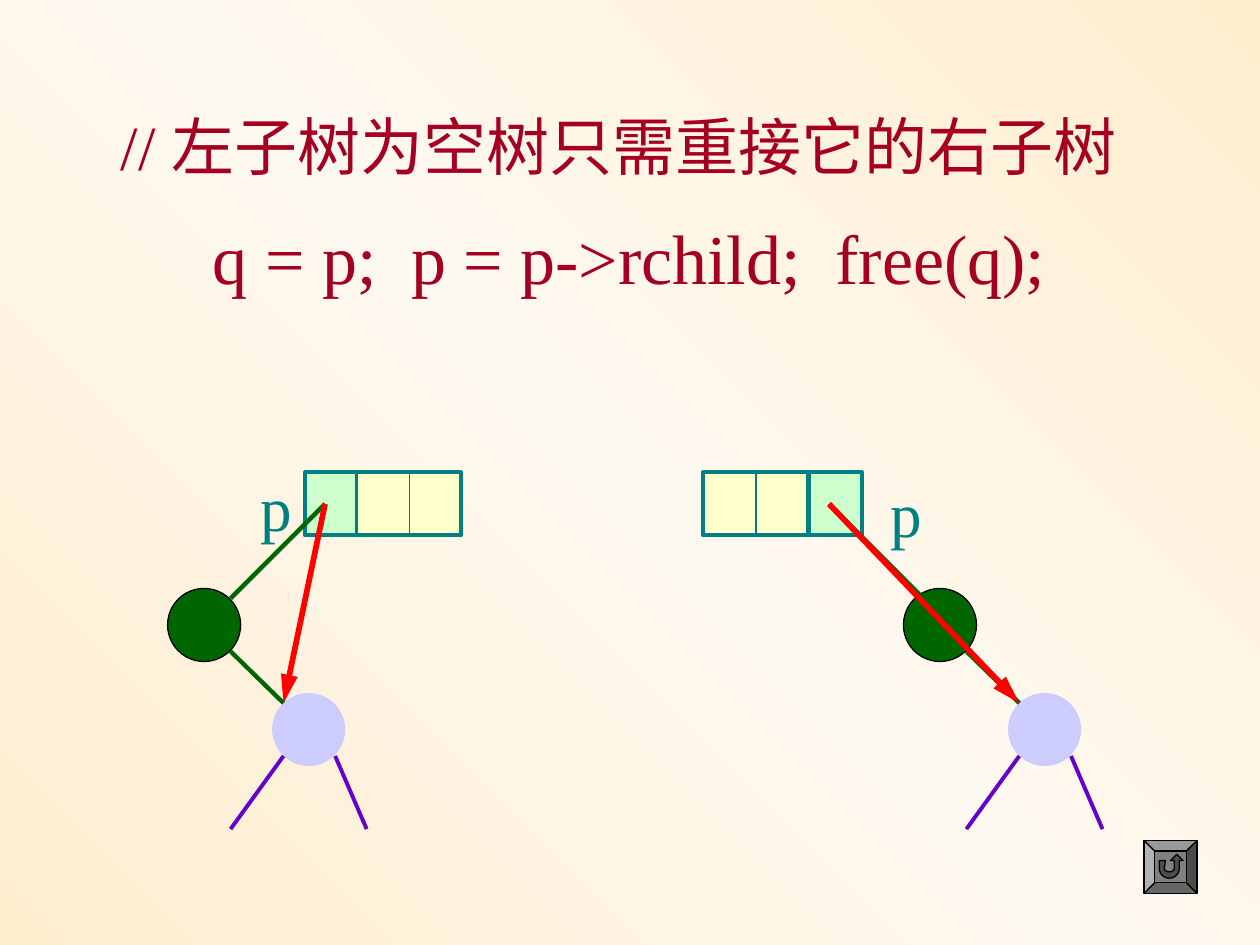
from copy import deepcopy
from math import cos, pi, sin

from lxml.etree import SubElement
from pptx import Presentation
from pptx.dml.color import RGBColor
from pptx.enum.shapes import MSO_CONNECTOR, MSO_SHAPE
from pptx.enum.text import MSO_ANCHOR, MSO_AUTO_SIZE as AUTO, PP_ALIGN
from pptx.oxml.ns import qn
from pptx.util import Inches, Pt

CRIMSON = RGBColor(0xA5, 0x00, 0x21)
TEAL = RGBColor(0x00, 0x80, 0x80)
MINT = RGBColor(0xCC, 0xFF, 0xCC)
CREAM = RGBColor(0xFF, 0xFF, 0xCC)
GREEN = RGBColor(0x00, 0x66, 0x00)
LILAC = RGBColor(0xCC, 0xCC, 0xFF)
VIOLET = RGBColor(0x66, 0x00, 0xCC)
RED = RGBColor(0xFF, 0x00, 0x00)
BLACK = RGBColor(0x00, 0x00, 0x00)
GREY = RGBColor(0x80, 0x80, 0x80)
DARK_GREY = RGBColor(0x4D, 0x4D, 0x4D)
PEACH = RGBColor(0xFF, 0xED, 0xCD)
IVORY = RGBColor(0xFE, 0xF9, 0xF0)

prs = Presentation()
prs.slide_width, prs.slide_height = Inches(10), Inches(7.5)
slide = prs.slides.add_slide(prs.slide_layouts[5])
shapes = slide.shapes

backdrop = slide.background.fill
backdrop.gradient()
backdrop.gradient_angle = 225
first_stop = backdrop.gradient_stops[0]._gs
first_stop.addnext(deepcopy(first_stop))
for stop, position, color in zip(backdrop.gradient_stops, (0, 0.5, 1), (PEACH, IVORY, PEACH)):
    stop.position = position
    stop.color.rgb = color


def paint(shape, fill, line=None, width=0.75):
    shape.shadow.inherit = False
    shape.fill.solid()
    shape.fill.fore_color.rgb = fill
    if line is None:
        shape.line.fill.background()
    else:
        shape.line.color.rgb = line
        shape.line.width = Pt(width)


def draw_line(start, end, color, width):
    line = shapes.add_connector(MSO_CONNECTOR.STRAIGHT, *map(Inches, start + end))
    line.line.color.rgb = color
    line.line.width = Pt(width)
    SubElement(line._element.spPr, qn("a:effectLst"))
    return line


texts = [
    (shapes.title, (0.86, 0.5, 8.4, 1), "// 左子树为空树只需重接它的右子树", 36, CRIMSON, 1.5),
    (None, (1.59, 1.65, 6.81, 0.77), "q = p;  p = p->rchild;  free(q);", 40, CRIMSON, 1),
    (None, (1.97, 3.67, 0.45, 0.7), "p", 36, TEAL, 1),
    (None, (6.97, 3.72, 0.45, 0.7), "p", 36, TEAL, 1),
]
for heading, box, wording, size, color, spacing in texts:
    label = heading or shapes.add_textbox(*map(Inches, box))
    label.left, label.top, label.width, label.height = map(Inches, box)
    frame = label.text_frame
    frame.text = wording
    frame_format = {"word_wrap": heading is not None,
                    "auto_size": AUTO.NONE if heading else AUTO.SHAPE_TO_FIT_TEXT,
                    "vertical_anchor": MSO_ANCHOR.TOP}
    for name, value in frame_format.items():
        setattr(frame, name, value)
    paragraph = frame.paragraphs[0]
    paragraph.alignment = PP_ALIGN.LEFT
    paragraph.line_spacing = spacing
    font = paragraph.runs[0].font
    for name, value in {"name": "Times New Roman", "size": Pt(size), "bold": False}.items():
        setattr(font, name, value)
    font.color.rgb = color

NODE = 0.58
sides = [
    (2.42, 2.83, 1.33, (1.83, 4.75)),
    (6.42, 5.58, 7.17, (7.33, 4.75)),
]
for link_x, fields_x, tree_x, branch_end in sides:
    for x, width, fill in ((link_x, 0.42, MINT), (fields_x, 0.83, CREAM)):
        field = shapes.add_shape(
            MSO_SHAPE.RECTANGLE, Inches(x), Inches(3.75), Inches(width), Inches(0.5))
        paint(field, fill, TEAL, 2.25)
    divider_x = fields_x + 0.42
    draw_line((divider_x, 3.75), (divider_x, 4.25), TEAL, 0.75)

    for x, y, fill, outline in ((tree_x, 4.67, GREEN, BLACK), (tree_x + 0.83, 5.5, LILAC, None)):
        node = shapes.add_shape(
            MSO_SHAPE.OVAL, Inches(x), Inches(y), Inches(NODE), Inches(NODE))
        paint(node, fill, outline)

    pointer = (link_x + 0.16, 4)
    child = (tree_x + 0.92, 5.58)
    draw_line((tree_x + 0.92, 6), (tree_x + 0.5, 6.58), VIOLET, 2.25)
    draw_line((tree_x + 1.33, 6), (tree_x + 1.58, 6.58), VIOLET, 2.25)
    draw_line((tree_x + 0.5, 5.17), child, GREEN, 2.5)
    draw_line(pointer, branch_end, GREEN, 2.5)
    relink = draw_line(pointer, child, RED, 3.25)
    SubElement(relink.line._get_or_add_ln(), qn("a:tailEnd"), type="triangle", len="lg")

return_button = shapes.add_shape(
    MSO_SHAPE.BEVEL, Inches(9.08), Inches(6.67), Inches(0.42), Inches(0.42))
return_button.adjustments[0] = 0.2
paint(return_button, GREY, BLACK)

angles = [step * pi / 12 for step in range(13)]
inner_bend = [(9.28 - 0.04 * cos(a), 6.89 + 0.03 * sin(a)) for a in angles]
outer_bend = [(9.28 + 0.08 * cos(a), 6.89 + 0.08 * sin(a)) for a in angles]
arrow_outline = [(9.2, 6.83), (9.25, 6.83), *inner_bend, (9.32, 6.83), (9.29, 6.83),
                 (9.34, 6.78), (9.39, 6.83), (9.36, 6.83), *outer_bend]
points = [(Inches(x), Inches(y)) for x, y in arrow_outline]
builder = shapes.build_freeform(*points[0])
builder.add_line_segments(points[1:], close=True)
paint(builder.convert_to_shape(), DARK_GREY, BLACK)

prs.save("out.pptx")
